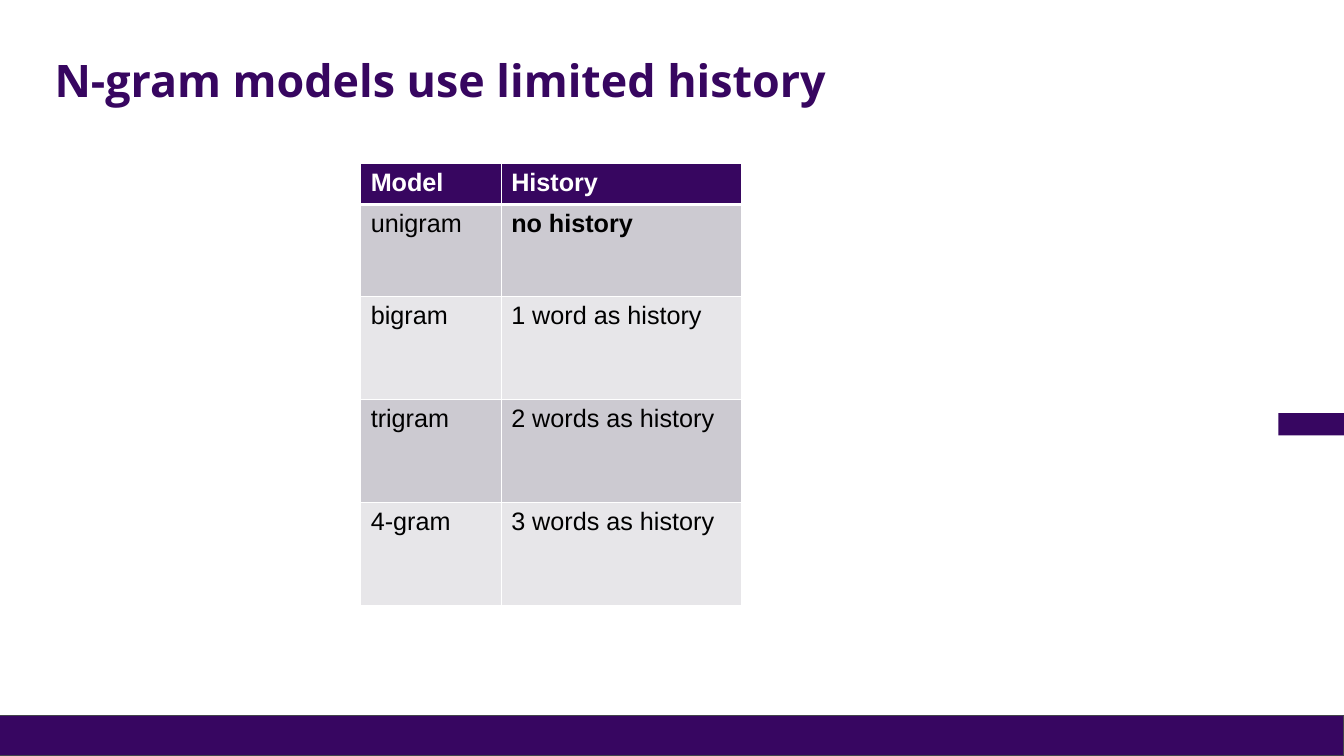
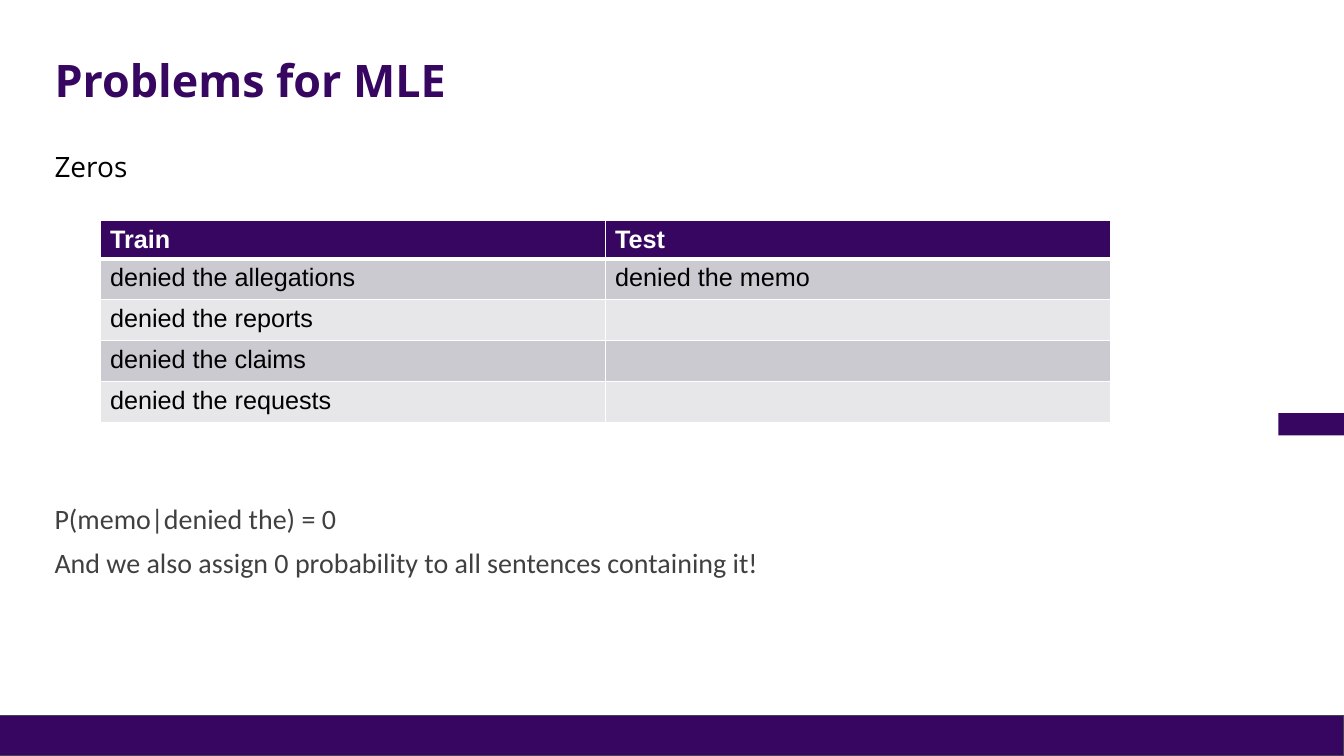
from lxml import etree
from pptx import Presentation
from pptx.dml.color import RGBColor
from pptx.enum.shapes import MSO_SHAPE
from pptx.enum.text import MSO_ANCHOR, MSO_AUTO_SIZE, PP_ALIGN
from pptx.oxml.ns import qn
from pptx.util import Cm, Pt

RECT = MSO_SHAPE.RECTANGLE
TOP, MIDDLE = MSO_ANCHOR.TOP, MSO_ANCHOR.MIDDLE
LEFT = PP_ALIGN.LEFT
FIXED = MSO_AUTO_SIZE.NONE

PURPLE = RGBColor(0x37, 0x06, 0x60)
BAND = RGBColor(0x37, 0x06, 0x61)
EDGE = RGBColor(0x43, 0x45, 0x4B)
WHITE = RGBColor(0xFF, 0xFF, 0xFF)
BLACK = RGBColor(0, 0, 0)
GREY = RGBColor(0x40, 0x40, 0x40)
DARK_ROW = RGBColor(0xCC, 0xCA, 0xD1)
LIGHT_ROW = RGBColor(0xE7, 0xE6, 0xE9)

HEAD_FONT, CELL_FONT, NOTE_FONT = "Open Sans", "Arial", "Calibri"
TITLE_ONLY, TITLE_BODY = 5, 1


class Deck:
    """Hold the shared style and the current slide."""

    def __init__(self):
        self.prs = Presentation()
        self.prs.slide_width, self.prs.slide_height = Cm(33.87), Cm(19.05)
        self.slide = None

    def start(self, layout, title):
        first = self.slide is None
        self.slide = self.prs.slides.add_slide(self.prs.slide_layouts[layout])
        if first:
            self.band(0, 18.02, 33.87, 1.03, EDGE)
            self.band(32.22, 10.41, 1.65, 0.56)
        frame = self.place(self.slide.shapes.title, 1.12, 1.02, 30.43, 2.13, MIDDLE)
        self.style(frame.paragraphs[0], title, HEAD_FONT, 32, PURPLE, bold=True)

    def band(self, x, y, w, h, edge=None):
        shape = self.slide.shapes.add_shape(RECT, Cm(x), Cm(y), Cm(w), Cm(h))
        shape.shadow.inherit = False
        shape.fill.solid()
        shape.fill.fore_color.rgb = BAND
        if edge is None:
            shape.line.fill.background()
        else:
            shape.line.color.rgb = edge
            shape.line.width = Pt(0.75)
        tree = self.prs.slide_master.shapes.element
        shape.element.nvSpPr.cNvPr.set("id", str(100 + len(tree)))
        tree.insert(2, shape.element)

    def place(self, holder, x, y, w, h, anchor):
        holder.left, holder.top, holder.width, holder.height = Cm(x), Cm(y), Cm(w), Cm(h)
        frame = holder.text_frame
        frame.auto_size = FIXED
        frame.word_wrap = True
        frame.vertical_anchor = anchor
        return frame

    def style(self, para, text, font, size, color, bold=False, spacing=0.9):
        para.text = text
        para.alignment = LEFT
        para.line_spacing = spacing
        para.font.name, para.font.size = font, Pt(size)
        para.font.bold, para.font.color.rgb = bold, color

    def body(self, lines):
        frame = self.place(self.slide.placeholders[1], 1.12, 3.73, 29.21, 13.31, TOP)
        for i, (text, font, color, gap) in enumerate(lines):
            para = frame.paragraphs[0] if i == 0 else frame.add_paragraph()
            props = para._p.get_or_add_pPr()
            props.set("marL", "0")
            props.set("indent", "0")
            etree.SubElement(props, qn("a:buNone"))
            self.style(para, text, font, 20, color)
            para.space_before = Pt(gap)

    def table(self, x, y, widths, heights, rows, bold=()):
        frame = self.slide.shapes.add_table(
            len(rows), len(widths), Cm(x), Cm(y), Cm(sum(widths)), Cm(sum(heights)))
        grid = frame.table
        for column, width in zip(grid.columns, widths):
            column.width = Cm(width)
        for r, (texts, height) in enumerate(zip(rows, heights)):
            grid.rows[r].height = Cm(height)
            for c, text in enumerate(texts):
                head = r == 0
                cell = grid.cell(r, c)
                cell.fill.solid()
                cell.fill.fore_color.rgb = (
                    PURPLE if head else DARK_ROW if r % 2 else LIGHT_ROW)
                self.style(cell.text_frame.paragraphs[0], text, CELL_FONT, 18,
                           WHITE if head else BLACK, head or text in bold, 1.0)
                self.border(cell, 3 if r == 1 else 1, 3 if head else 1)

    def border(self, cell, top, bottom):
        props = cell._tc.get_or_add_tcPr()
        sides = (("L", 1), ("R", 1), ("T", top), ("B", bottom))
        for i, (side, width) in enumerate(sides):
            line = etree.Element(qn("a:ln" + side), w=str(Pt(width)))
            fill = etree.SubElement(line, qn("a:solidFill"))
            etree.SubElement(fill, qn("a:srgbClr"), val=str(WHITE))
            props.insert(i, line)


def main():
    deck = Deck()

    deck.start(TITLE_ONLY, "N-gram models use limited history")
    deck.table(9.09, 4.12, [3.54, 6.05], [1.03, 2.33] + [2.59] * 3, [
        ("Model", "History"),
        ("unigram", "no history"),
        ("bigram", "1 word as history"),
        ("trigram", "2 words as history"),
        ("4-gram", "3 words as history"),
    ], bold=("no history",))

    deck.start(TITLE_BODY, "Problems for MLE")
    deck.body([
        ("Zeros", HEAD_FONT, BLACK, 0),
        ("P(memo|denied the) = 0", NOTE_FONT, GREY, 230),
        ("And we also assign 0 probability to all sentences containing it!",
         NOTE_FONT, GREY, 10),
    ])
    deck.table(2.52, 5.56, [12.73] * 2, [0.74] + [1.03] * 4, [
        ("Train", "Test"),
        ("denied the allegations", "denied the memo"),
        ("denied the reports", ""),
        ("denied the claims", ""),
        ("denied the requests", ""),
    ])

    deck.prs.save("out.pptx")


if __name__ == "__main__":
    main()
